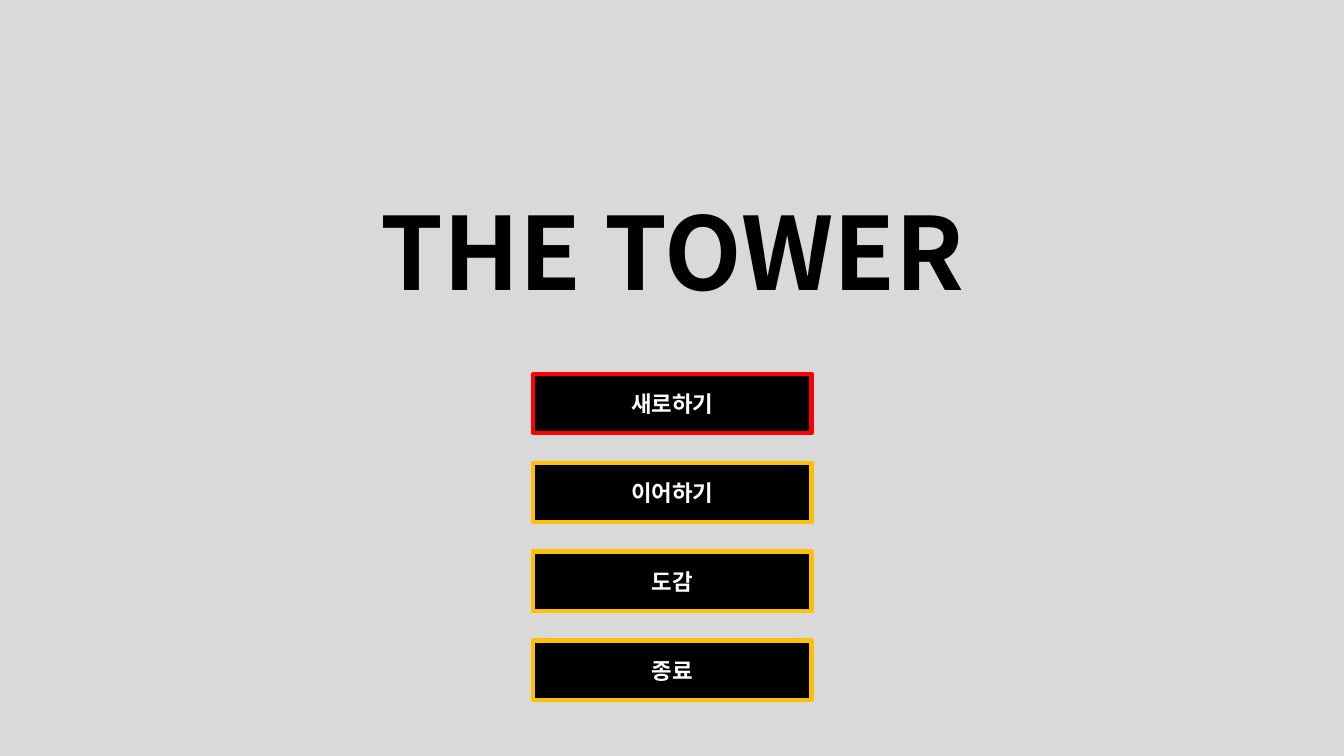
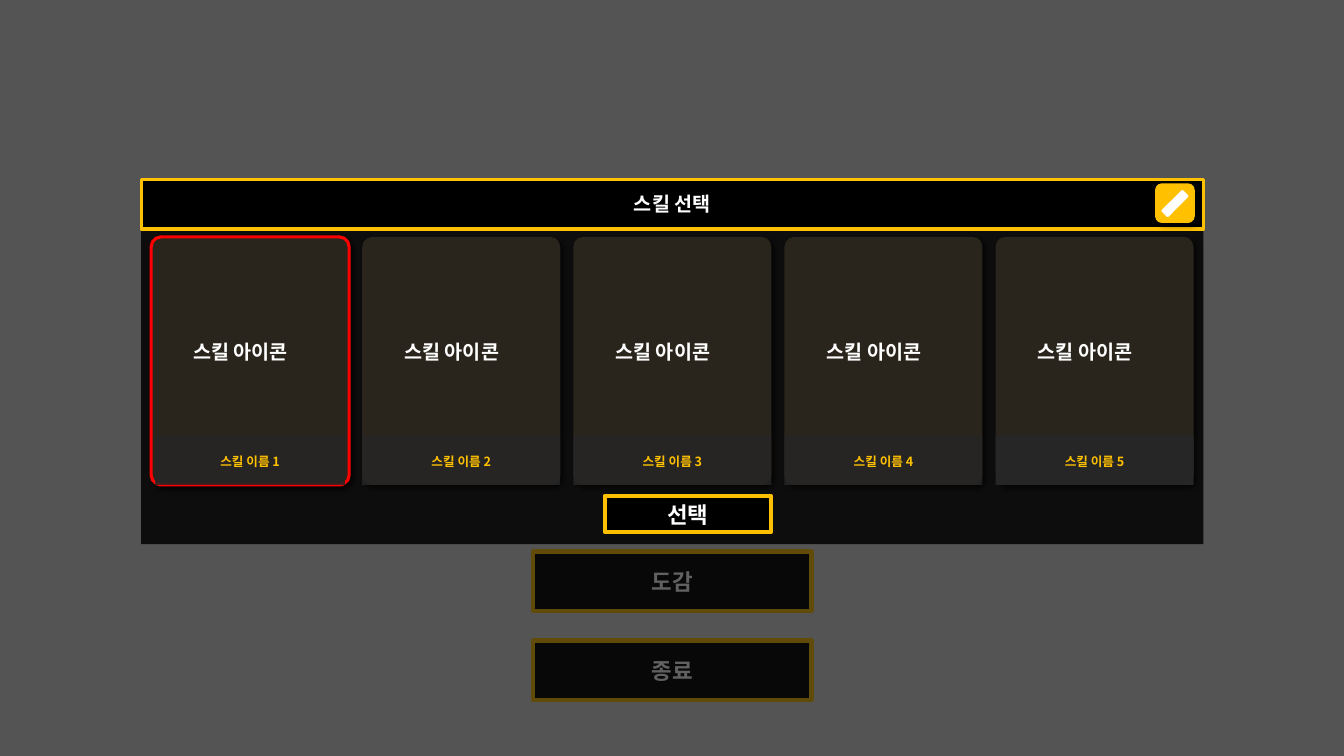
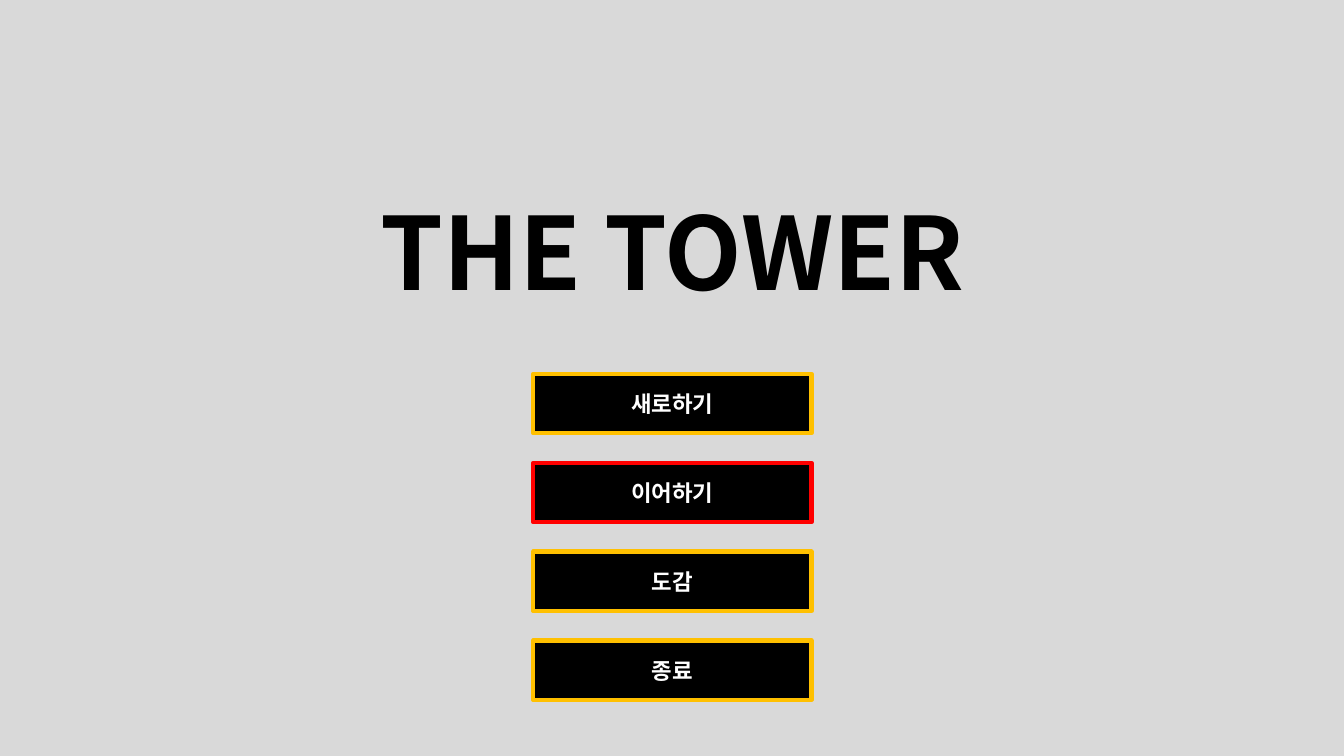
import dataclasses

import lxml.etree
import pptx
import pptx.dml.color
import pptx.enum.shapes
import pptx.enum.text
import pptx.oxml.ns
import pptx.util

Cm = pptx.util.Cm
Pt = pptx.util.Pt
ShapeKind = pptx.enum.shapes.MSO_SHAPE
Align = pptx.enum.text.PP_ALIGN
Anchor = pptx.enum.text.MSO_ANCHOR
qualified = pptx.oxml.ns.qn


@dataclasses.dataclass(frozen=True)
class Theme:
    font: str = "Noto Sans CJK KR"
    background: str = "D9D9D9"
    black: str = "000000"
    white: str = "FFFFFF"
    panel: str = "0D0D0D"
    card: str = "2A251C"
    caption: str = "262626"
    gold: str = "FFC000"
    selected: str = "FF0000"
    game_title: int = 72
    button: int = 16
    heading: int = 14
    skill_name: int = 9
    thick_line: float = 3
    thin_line: float = 2.25


THEME = Theme()
SLIDE_WIDTH, SLIDE_HEIGHT = 33.87, 19.05
MENU = ("새로하기", "이어하기", "도감", "종료")
MENU_LEFT, MENU_TOP, MENU_PITCH = 13.44, 9.42, 2.24
PANEL_LEFT, PANEL_TOP, PANEL_WIDTH = 3.56, 4.52, 26.77
BAR_HEIGHT = 1.25
CARD_COUNT = 5
CARD_LEFT, CARD_TOP, CARD_PITCH = 3.81, 5.97, 5.32
CARD_WIDTH, CARD_HEIGHT = 4.99, 6.25


def rgb(color):
    return pptx.dml.color.RGBColor.from_string(color)


def place(shape, left, top, width, height):
    shape.left, shape.top = Cm(left), Cm(top)
    shape.width, shape.height = Cm(width), Cm(height)


def paint(shape, fill, line=None, line_width=THEME.thick_line, opacity=100):
    shape.fill.solid()
    shape.fill.fore_color.rgb = rgb(fill)
    if opacity < 100:
        color = shape.element.spPr.find(".//" + qualified("a:srgbClr"))
        alpha = lxml.etree.SubElement(color, qualified("a:alpha"))
        alpha.set("val", str(opacity * 1000))
    if line:
        shape.line.color.rgb = rgb(line)
        shape.line.width = Pt(line_width)
    else:
        shape.line.fill.background()


def write(shape, text, size, color=THEME.white, align=Align.CENTER, anchor=Anchor.MIDDLE):
    frame = shape.text_frame
    frame.auto_size = pptx.enum.text.MSO_AUTO_SIZE.NONE
    frame.word_wrap = True
    frame.vertical_anchor = anchor
    paragraph = frame.paragraphs[0]
    paragraph.alignment = align
    run = paragraph.add_run()
    run.text = text
    run.font.name = THEME.font
    run.font.size = Pt(size)
    run.font.bold = True
    run.font.color.rgb = rgb(color)
    east_asian = lxml.etree.SubElement(run._r.get_or_add_rPr(), qualified("a:ea"))
    east_asian.set("typeface", THEME.font)
    return paragraph


def add_box(slide, box, fill, kind=ShapeKind.RECTANGLE, **style):
    shape = slide.shapes.add_shape(kind, *map(Cm, box))
    shape.shadow.inherit = False
    paint(shape, fill, **style)
    return shape


def add_rounded(slide, box, fill, corner, **style):
    shape = add_box(slide, box, fill, ShapeKind.ROUNDED_RECTANGLE, **style)
    shape.adjustments[0] = corner
    return shape


def cast_shadow(shape, opacity, blur):
    effects = shape.element.spPr.find(qualified("a:effectLst"))
    shadow = lxml.etree.SubElement(effects, qualified("a:outerShdw"))
    settings = {"blurRad": Pt(blur), "dist": Pt(3), "dir": 45 * 60000,
                "algn": "tl", "rotWithShape": 0}
    for name, value in settings.items():
        shadow.set(name, str(value))
    color = lxml.etree.SubElement(shadow, qualified("a:srgbClr"))
    color.set("val", THEME.black)
    lxml.etree.SubElement(color, qualified("a:alpha")).set("val", str(opacity * 1000))


def add_button(slide, box, text, selected=False):
    line = THEME.selected if selected else THEME.gold
    write(add_box(slide, box, THEME.black, line=line), text, THEME.button)


def add_menu(slide, selected=None, first=0):
    for index, text in enumerate(MENU[first:], first):
        box = (MENU_LEFT, MENU_TOP + index * MENU_PITCH, 7.01, 1.5)
        add_button(slide, box, text, index == selected)


def add_title_slide(presentation):
    return presentation.slides.add_slide(presentation.slide_layouts[5])


def add_start_screen(presentation, selected):
    slide = add_title_slide(presentation)
    title = slide.shapes.title
    place(title, 5.79, 4.65, 22.3, 3.33)
    write(title, "THE TOWER", THEME.game_title, THEME.black, anchor=Anchor.TOP)
    add_menu(slide, selected)


def add_close_icon(slide):
    tile = add_rounded(slide, (29.11, 4.62, 1, 1), THEME.gold, 0.17)
    cast_shadow(tile, 40, 4)
    stroke = add_rounded(slide, (29.49, 4.75, 0.24, 0.76), THEME.white, 0.17)
    stroke.rotation = 45


def add_skill_card(slide, index, selected=False):
    left = CARD_LEFT + index * CARD_PITCH
    card = add_rounded(slide, (left, CARD_TOP, CARD_WIDTH, CARD_HEIGHT), THEME.card, 0.05,
                       line=THEME.selected if selected else None,
                       line_width=THEME.thin_line)
    cast_shadow(card, 60, 3)
    inset = 0.1 if selected else 0
    caption_box = (left + inset, 10.97, CARD_WIDTH - 2 * inset, 1.25)
    opacity = 100 if index == CARD_COUNT - 1 else 85
    caption = add_box(slide, caption_box, THEME.caption, opacity=opacity)
    paragraph = write(caption, f"스킬 이름 {index + 1}", THEME.skill_name, THEME.gold)
    paragraph.line_spacing = 1.15
    paragraph.space_after = Pt(10)
    label = slide.shapes.add_textbox(Cm(left + 0.81), Cm(8.43), Cm(3.38), Cm(0.86))
    write(label, "스킬 아이콘", THEME.heading, align=Align.LEFT, anchor=Anchor.TOP)


def add_skill_screen(presentation):
    slide = add_title_slide(presentation)
    add_menu(slide, first=2)
    add_box(slide, (0, 0, SLIDE_WIDTH, SLIDE_HEIGHT), THEME.panel, opacity=65)
    panel = add_box(slide, (PANEL_LEFT, PANEL_TOP, PANEL_WIDTH, 9.19), THEME.panel)
    title = slide.shapes.title
    panel.element.addnext(title.element)
    place(title, PANEL_LEFT, PANEL_TOP, PANEL_WIDTH, BAR_HEIGHT)
    paint(title, THEME.black, THEME.gold, THEME.thin_line)
    write(title, "스킬 선택", THEME.heading)
    add_close_icon(slide)
    for index in range(CARD_COUNT):
        add_skill_card(slide, index, selected=index == 0)
    add_button(slide, (15.24, 12.5, 4.19, 0.91), "선택")


def main():
    presentation = pptx.Presentation()
    presentation.slide_width = Cm(SLIDE_WIDTH)
    presentation.slide_height = Cm(SLIDE_HEIGHT)
    background = presentation.slide_master.background.fill
    background.solid()
    background.fore_color.rgb = rgb(THEME.background)
    add_start_screen(presentation, selected=0)
    add_skill_screen(presentation)
    add_start_screen(presentation, selected=1)
    presentation.save("out.pptx")


if __name__ == "__main__":
    main()
